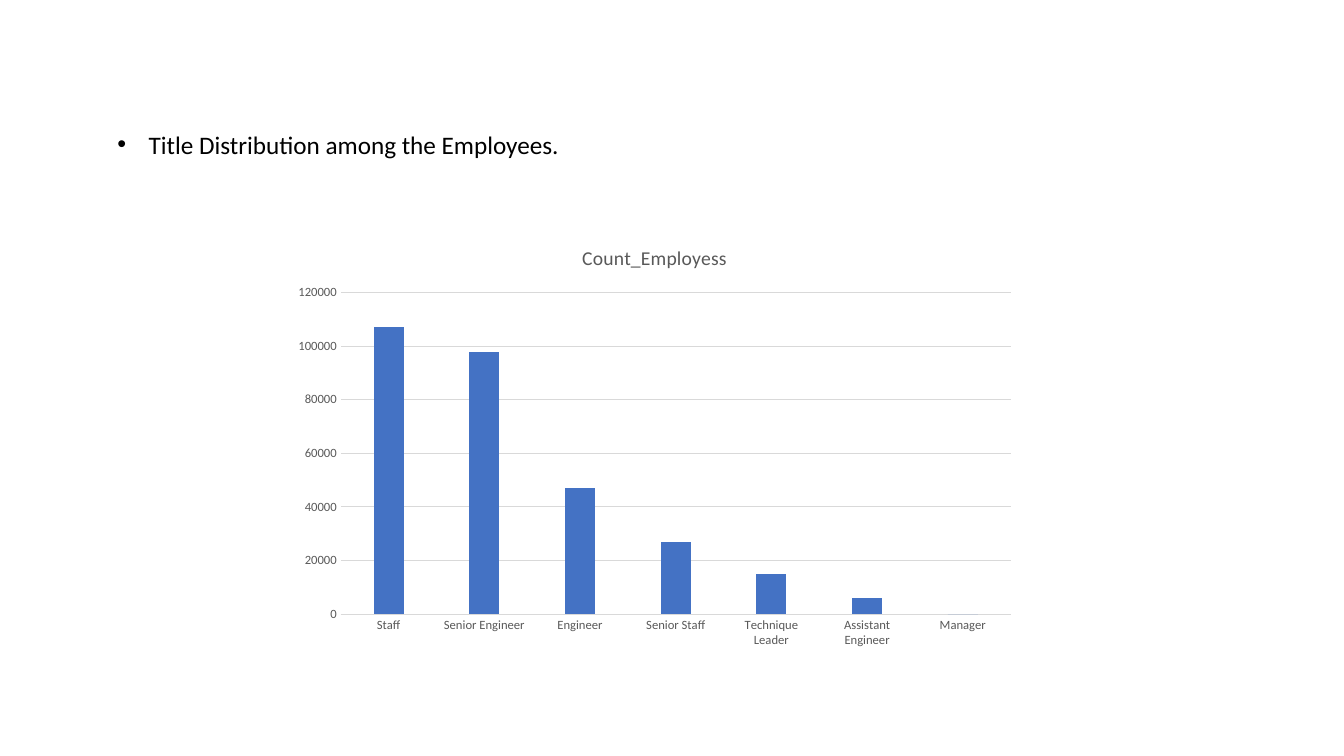
import pptx
import pptx.chart.data
import pptx.dml.color
import pptx.enum.chart
import pptx.oxml
import pptx.oxml.ns
import pptx.util

BLACK = pptx.dml.color.RGBColor(0x00, 0x00, 0x00)
GRAY = pptx.dml.color.RGBColor(0x59, 0x59, 0x59)
LIGHT_GRAY = pptx.dml.color.RGBColor(0xD9, 0xD9, 0xD9)
BLUE = pptx.dml.color.RGBColor(0x44, 0x72, 0xC4)

TITLE_COUNTS = {
    "Staff": 107000,
    "Senior Engineer": 98000,
    "Engineer": 47000,
    "Senior Staff": 27000,
    "Technique Leader": 15000,
    "Assistant Engineer": 6000,
    "Manager": 0,
}


class SlideBuilder:
    font_name = "Calibri"
    hairline = pptx.util.Pt(0.75)

    def __init__(self, presentation):
        self.width = presentation.slide_width
        self.height = presentation.slide_height
        self.slide = presentation.slides.add_slide(presentation.slide_layouts[6])

    def area(self, left, top, width, height):
        return (
            int(left * self.width),
            int(top * self.height),
            int(width * self.width),
            int(height * self.height),
        )

    def style_font(self, font, size, color):
        font.name = self.font_name
        font.size = pptx.util.Pt(size)
        font.bold = False
        font.color.rgb = color

    def style_line(self, line):
        line.color.rgb = LIGHT_GRAY
        line.width = self.hairline

    def bullet(self, text, share):
        frame = self.slide.shapes.add_textbox(*self.area(*share)).text_frame
        frame.word_wrap = True
        frame.auto_size = pptx.enum.text.MSO_AUTO_SIZE.SHAPE_TO_FIT_TEXT
        statement = frame.paragraphs[0]
        statement.text = text
        self.style_font(statement.font, 18, BLACK)
        properties = statement._p.get_or_add_pPr()
        indent = pptx.util.Inches(0.31)
        properties.set("marL", str(indent))
        properties.set("indent", str(-indent))
        namespace = pptx.oxml.ns.nsdecls("a")
        mark_font = pptx.oxml.parse_xml(f'<a:buFont {namespace} typeface="Arial"/>')
        mark = pptx.oxml.parse_xml(f'<a:buChar {namespace} char="•"/>')
        properties.insert_element_before(mark_font, "a:defRPr")
        properties.insert_element_before(mark, "a:defRPr")

    def column_chart(self, name, counts, share):
        data = pptx.chart.data.CategoryChartData()
        data.categories = list(counts)
        data.add_series(name, list(counts.values()))
        chart = self.slide.shapes.add_chart(
            pptx.enum.chart.XL_CHART_TYPE.COLUMN_CLUSTERED, *self.area(*share), data
        ).chart
        self.style_font(chart.font, 10, BLACK)
        chart.has_legend = False
        chart.has_title = True
        heading = chart.chart_title.text_frame.paragraphs[0]
        heading.text = name
        self.style_font(heading.font, 14, GRAY)
        chart.chart_title.include_in_layout = False

        plot = chart.plots[0]
        plot.gap_width = 219
        plot.overlap = -27
        plot.vary_by_categories = False
        columns = plot.series[0].format.fill
        columns.solid()
        columns.fore_color.rgb = BLUE

        for axis in (chart.category_axis, chart.value_axis):
            axis.major_tick_mark = pptx.enum.chart.XL_TICK_MARK.NONE
            axis.minor_tick_mark = pptx.enum.chart.XL_TICK_MARK.NONE
            self.style_font(axis.tick_labels.font, 9, GRAY)
        self.style_line(chart.category_axis.format.line)
        scale = chart.value_axis
        scale.format.line.fill.background()
        scale.minimum_scale = 0
        scale.maximum_scale = 120000
        scale.major_unit = 20000
        scale.has_major_gridlines = True
        self.style_line(scale.major_gridlines.format.line)


def main():
    presentation = pptx.Presentation()
    presentation.slide_width = pptx.util.Inches(13.33)
    presentation.slide_height = pptx.util.Inches(7.5)
    builder = SlideBuilder(presentation)
    builder.column_chart(
        "Count_Employess", TITLE_COUNTS, (0.211, 0.3, 0.552, 0.568)
    )
    builder.bullet(
        "Title Distribution among the Employees.", (0.08, 0.164, 0.594, 0.053)
    )
    presentation.save("out.pptx")


if __name__ == "__main__":
    import pptx.enum.text

    main()
